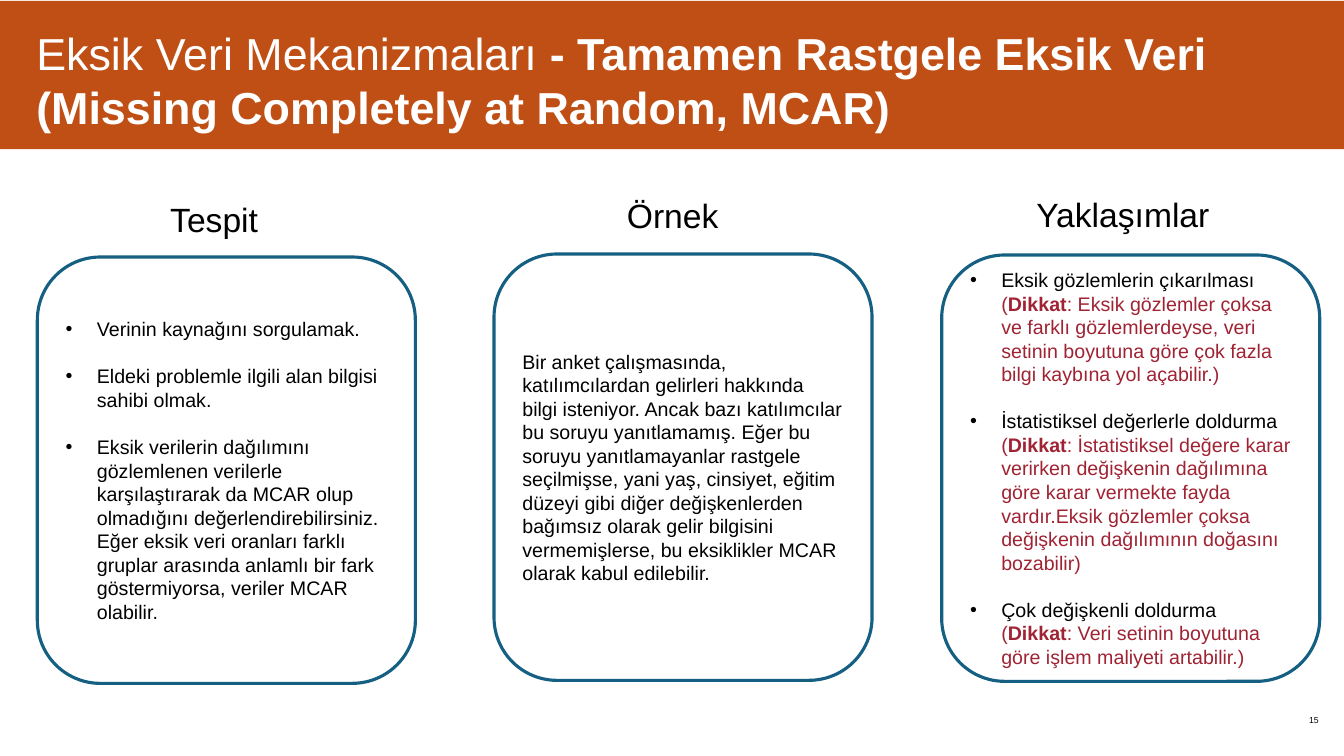
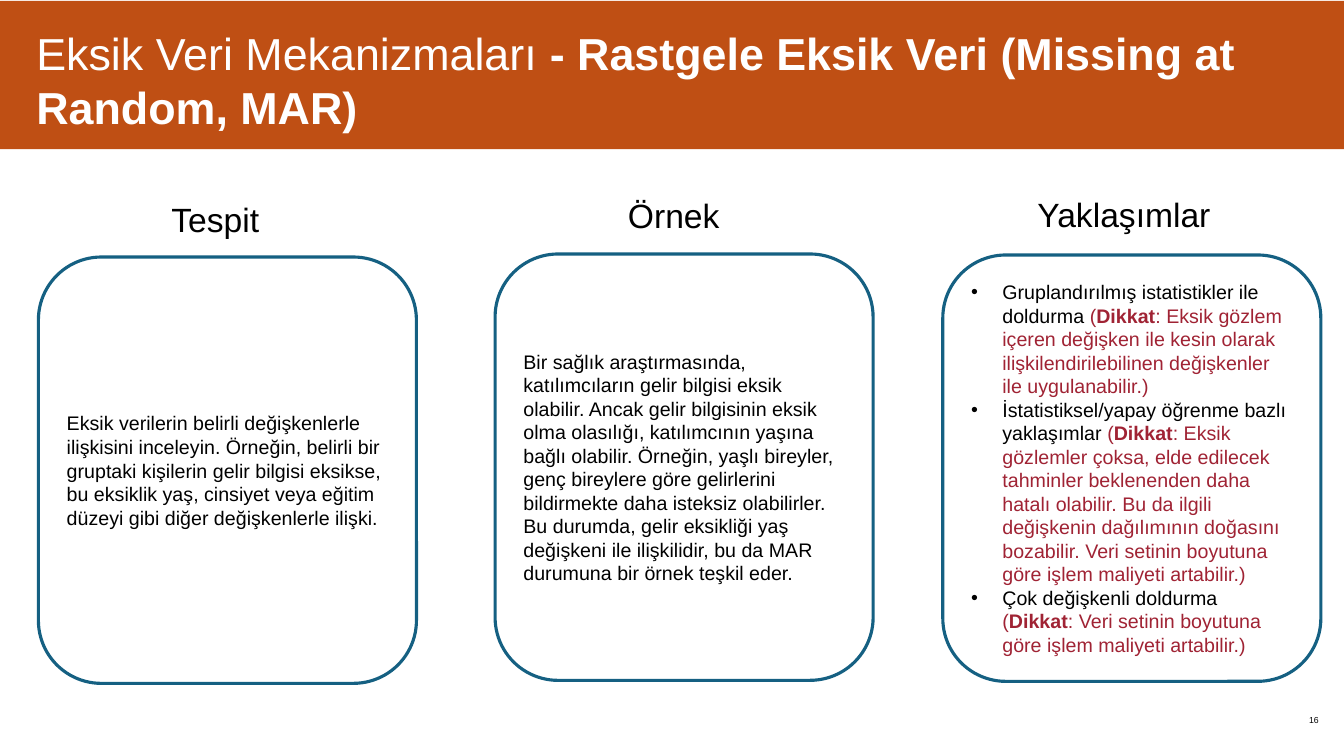
from dataclasses import dataclass

from lxml import etree
from pptx import Presentation
from pptx import util as u
from pptx.dml.color import RGBColor
from pptx.enum import shapes, text
from pptx.oxml import ns

WIDTH, HEIGHT = u.Inches(13.33), u.Inches(7.5)
FONT = "Arial"
ORANGE = RGBColor(0xBF, 0x4F, 0x14)
BLUE = RGBColor(0x15, 0x60, 0x82)
RED = RGBColor(0xA0, 0x23, 0x34)
BLACK = RGBColor(0, 0, 0)
WHITE = RGBColor(0xFF, 0xFF, 0xFF)
TITLE_SIZE, HEADING_SIZE, BODY_SIZE, NUMBER_SIZE = 32, 24, 14, 6.2
BLANK_LINE = 16.9
WIDE_INSET = (0.13, 0.13)
NORMAL_INSET = (0.1, 0.05)
PANEL_SIZE = (28.13, 56.4)
SUBJECT = "Eksik Veri Mekanizmaları"


@dataclass
class Column:
    heading: str
    left: float
    top: float
    heading_left: float
    heading_top: float
    heading_width: float


COLUMNS = (
    Column("Tespit", 2.78, 34, 11.93, 25.6, 9.9),
    Column("Örnek", 36.76, 33.6, 45.91, 25.07, 9.9),
    Column("Yaklaşımlar", 70.07, 33.73, 76.37, 24.93, 15.53),
)


@dataclass
class Body:
    items: tuple
    bulleted: bool = False
    gap: float = 0


@dataclass
class Mechanism:
    number: int
    name: str
    bodies: tuple
    shift: float = 0


MULTIVARIATE = ("Çok değişkenli doldurma ",
                ": Veri setinin boyutuna göre işlem maliyeti artabilir.)")

MECHANISMS = (
    Mechanism(15, "Tamamen Rastgele Eksik Veri (Missing Completely at Random, MCAR)", (
        Body((
            ("Verinin kaynağını sorgulamak.", ""),
            ("Eldeki problemle ilgili alan bilgisi sahibi olmak.", ""),
            ("Eksik verilerin dağılımını gözlemlenen verilerle karşılaştırarak da "
             "MCAR olup olmadığını değerlendirebilirsiniz. Eğer eksik veri oranları "
             "farklı gruplar arasında anlamlı bir fark göstermiyorsa, veriler MCAR "
             "olabilir.", ""),
        ), True, BLANK_LINE),
        Body((
            ("Bir anket çalışmasında, katılımcılardan gelirleri hakkında bilgi "
             "isteniyor. Ancak bazı katılımcılar bu soruyu yanıtlamamış. Eğer bu "
             "soruyu yanıtlamayanlar rastgele seçilmişse, yani yaş, cinsiyet, eğitim "
             "düzeyi gibi diğer değişkenlerden bağımsız olarak gelir bilgisini "
             "vermemişlerse, bu eksiklikler MCAR olarak kabul edilebilir.", ""),
        )),
        Body((
            ("Eksik gözlemlerin çıkarılması ",
             ": Eksik gözlemler çoksa ve farklı gözlemlerdeyse, veri setinin boyutuna "
             "göre çok fazla bilgi kaybına yol açabilir.)"),
            ("İstatistiksel değerlerle doldurma ",
             ": İstatistiksel değere karar verirken değişkenin dağılımına göre karar "
             "vermekte fayda vardır.Eksik gözlemler çoksa değişkenin dağılımının "
             "doğasını bozabilir)"),
            MULTIVARIATE,
        ), True, BLANK_LINE),
    )),
    Mechanism(16, "Rastgele Eksik Veri (Missing at Random, MAR)", (
        Body((
            ("Eksik verilerin belirli değişkenlerle ilişkisini inceleyin. Örneğin, "
             "belirli bir gruptaki kişilerin gelir bilgisi eksikse, bu eksiklik yaş, "
             "cinsiyet veya eğitim düzeyi gibi diğer değişkenlerle ilişki.", ""),
        )),
        Body((
            ("Bir sağlık araştırmasında, katılımcıların gelir bilgisi eksik olabilir. "
             "Ancak gelir bilgisinin eksik olma olasılığı, katılımcının yaşına bağlı "
             "olabilir. Örneğin, yaşlı bireyler, genç bireylere göre gelirlerini "
             "bildirmekte daha isteksiz olabilirler. Bu durumda, gelir eksikliği yaş "
             "değişkeni ile ilişkilidir, bu da MAR durumuna bir örnek teşkil eder.", ""),
        )),
        Body((
            ("Gruplandırılmış istatistikler ile doldurma ",
             ": Eksik gözlem içeren değişken ile kesin olarak ilişkilendirilebilinen "
             "değişkenler ile uygulanabilir.)"),
            ("İstatistiksel/yapay öğrenme bazlı yaklaşımlar ",
             ": Eksik gözlemler çoksa, elde edilecek tahminler beklenenden daha hatalı "
             "olabilir. Bu da ilgili değişkenin dağılımının doğasını bozabilir. Veri "
             "setinin boyutuna göre işlem maliyeti artabilir.)"),
            MULTIVARIATE,
        ), True),
    ), 0.08),
)


def place(left, top, width, height):
    return (round(WIDTH * left / 100), round(HEIGHT * top / 100),
            round(WIDTH * width / 100), round(HEIGHT * height / 100))


def add_run(paragraph, wording, size, color=BLACK, bold=False):
    run = paragraph.add_run()
    run.text = wording
    run.font.name = FONT
    run.font.size = u.Pt(size)
    run.font.bold = bold
    run.font.color.rgb = color


def set_frame(frame, inset, anchor):
    frame.word_wrap = True
    frame.vertical_anchor = anchor
    frame.margin_left = frame.margin_right = u.Inches(inset[0])
    frame.margin_top = frame.margin_bottom = u.Inches(inset[1])


def add_label(slide, area, inset=NORMAL_INSET, anchor=text.MSO_ANCHOR.TOP):
    frame = slide.shapes.add_textbox(*place(*area)).text_frame
    set_frame(frame, inset, anchor)
    return frame.paragraphs[0]


def add_box(slide, kind, area, fill):
    shape = slide.shapes.add_shape(kind, *place(*area))
    shape.shadow.inherit = False
    shape.fill.solid()
    shape.fill.fore_color.rgb = fill
    shape.line.fill.background()
    return shape


def add_bullet(paragraph):
    properties = paragraph._p.get_or_add_pPr()
    indent = u.Inches(0.31)
    properties.set("marL", str(indent))
    properties.set("indent", str(-indent))
    color = etree.SubElement(properties, ns.qn("a:buClr"))
    etree.SubElement(color, ns.qn("a:srgbClr")).set("val", str(BLACK))
    etree.SubElement(properties, ns.qn("a:buFont")).set("typeface", FONT)
    etree.SubElement(properties, ns.qn("a:buChar")).set("char", "•")


def add_panel(slide, column, body, shift):
    panel = add_box(slide, shapes.MSO_SHAPE.ROUNDED_RECTANGLE,
                    (column.left + shift, column.top, *PANEL_SIZE), WHITE)
    panel.line.color.rgb = BLUE
    panel.line.width = u.Pt(2.25)
    frame = panel.text_frame
    set_frame(frame, NORMAL_INSET, text.MSO_ANCHOR.MIDDLE)
    for index, (statement, warning) in enumerate(body.items):
        paragraph = frame.add_paragraph() if index else frame.paragraphs[0]
        paragraph.alignment = text.PP_ALIGN.LEFT
        paragraph.space_before = u.Pt(body.gap if index else 0)
        if body.bulleted:
            add_bullet(paragraph)
        add_run(paragraph, statement, BODY_SIZE)
        if warning:
            add_run(paragraph, "(", BODY_SIZE, RED)
            add_run(paragraph, "Dikkat", BODY_SIZE, RED, True)
            add_run(paragraph, warning, BODY_SIZE, RED)


def add_heading(slide, column, shift):
    area = (column.heading_left + shift, column.heading_top, column.heading_width, 6.67)
    add_run(add_label(slide, area), column.heading, HEADING_SIZE)


def add_title(slide, name):
    add_box(slide, shapes.MSO_SHAPE.RECTANGLE, (0, 0.13, 100, 19.6), ORANGE)
    title = add_label(slide, (1.73, 1.73, 98.27, 18), WIDE_INSET)
    add_run(title, SUBJECT, TITLE_SIZE, WHITE)
    add_run(title, f" - {name}", TITLE_SIZE, WHITE, True)


def add_number(slide, number):
    label = add_label(slide, (93.1, 91.47, 6, 7.6), WIDE_INSET, text.MSO_ANCHOR.MIDDLE)
    label.alignment = text.PP_ALIGN.RIGHT
    add_run(label, str(number), NUMBER_SIZE)


def add_mechanism(presentation, mechanism):
    slide = presentation.slides.add_slide(presentation.slide_layouts[6])
    add_number(slide, mechanism.number)
    add_title(slide, mechanism.name)
    for column, body in zip(COLUMNS, mechanism.bodies):
        add_panel(slide, column, body, mechanism.shift)
        add_heading(slide, column, mechanism.shift)


def main():
    presentation = Presentation()
    presentation.slide_width, presentation.slide_height = WIDTH, HEIGHT
    for mechanism in MECHANISMS:
        add_mechanism(presentation, mechanism)
    presentation.save("out.pptx")


if __name__ == "__main__":
    main()
